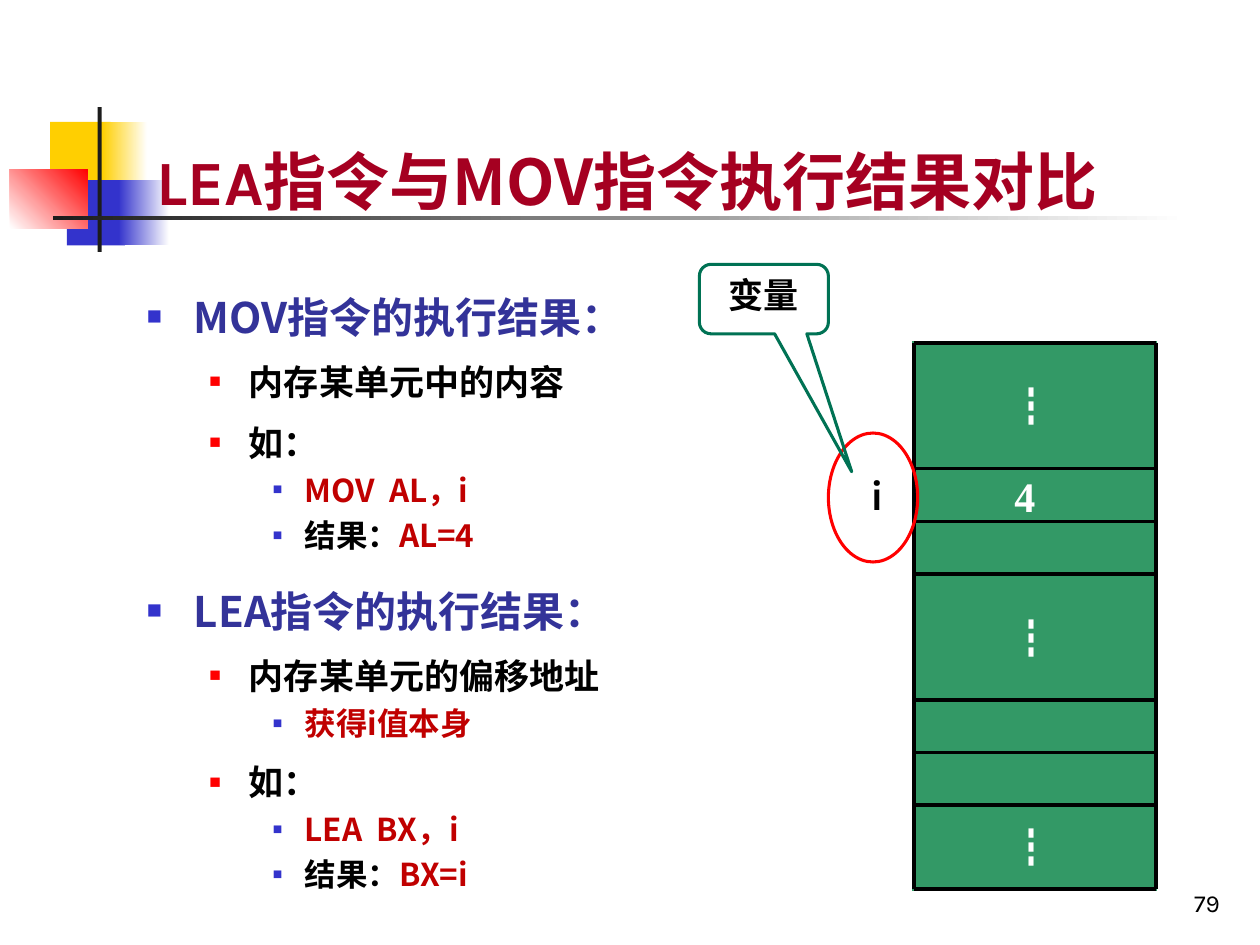
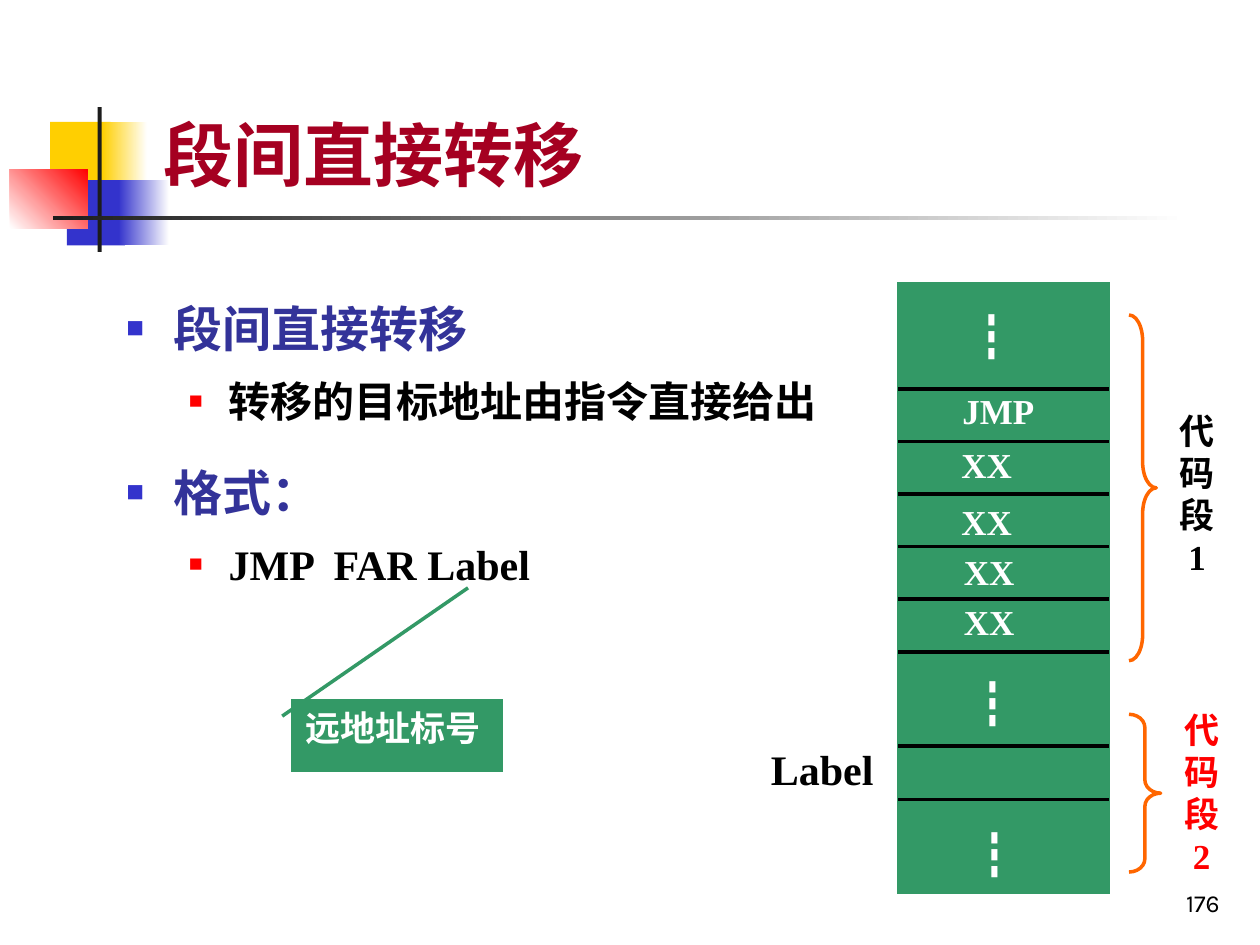
"""Build two slides on LEA, MOV and far jump instructions."""
from itertools import accumulate

from lxml.etree import SubElement
from pptx import Presentation
from pptx.dml.color import RGBColor
from pptx.enum.shapes import MSO_CONNECTOR as Connector, MSO_SHAPE as Shape
from pptx.enum.text import MSO_ANCHOR as Anchor, PP_ALIGN as Align
from pptx.oxml.ns import qn
from pptx.util import Cm, Pt

COLORS = {
    "title": "A50021", "heading": "333399", "code": "C00000",
    "black": "000000", "white": "FFFFFF", "ink": "1C1C1C",
    "yellow": "FFCF01", "blue": "3333CC", "red": "FF0000",
    "memory": "339966", "callout": "007254", "brace": "FF6600",
}
CJK, LATIN, SERIF = "Noto Sans CJK SC", "Karla", "Times New Roman"
BULLETS = [("blue", 60, 0.95, -0.95), ("red", 55, 2.06, -0.8), ("blue", 50, 3.18, -0.64)]


def write(frame, text, size=24, color="black", font=CJK, bold=True, align=Align.LEFT,
          anchor=Anchor.TOP, level=None, before=0, after=0, spacing=None):
    """Add a paragraph; text is a string or a list of (text, color, font) runs."""
    frame.word_wrap = True
    frame.vertical_anchor = anchor
    paragraph = frame.paragraphs[-1]
    if paragraph.runs:
        paragraph = frame.add_paragraph()
    if level is not None:
        bullet_color, percent, margin, indent = BULLETS[level]
        paragraph.level = level
        properties = paragraph._p.get_or_add_pPr()
        properties.set("marL", str(Cm(margin)))
        properties.set("indent", str(Cm(indent)))
        tint = SubElement(properties, qn("a:buClr"))
        SubElement(tint, qn("a:srgbClr")).set("val", COLORS[bullet_color])
        SubElement(properties, qn("a:buSzPct")).set("val", str(percent * 1000))
        SubElement(properties, qn("a:buFont")).set("typeface", SERIF)
        SubElement(properties, qn("a:buChar")).set("char", "■")
    paragraph.alignment = align
    paragraph.space_before, paragraph.space_after = Pt(before), Pt(after)
    if spacing:
        paragraph.line_spacing = spacing
    runs = [(text, color, font)] if isinstance(text, str) else text
    for words, run_color, run_font in runs:
        run = paragraph.add_run()
        run.text = words
        run.font.size, run.font.bold, run.font.name = Pt(size), bold, run_font
        run.font.color.rgb = RGBColor.from_string(COLORS[run_color])
        SubElement(run._r.get_or_add_rPr(), qn("a:ea")).set("typeface", CJK)


def draw(slide, kind, box, fill=None, line=None, width=2, adjust=(), fade=None, angle=0):
    """Add a preset shape with a plain, fading or empty fill."""
    shape = slide.shapes.add_shape(kind, *map(Cm, box))
    shape.shadow.inherit = False
    if fade:
        shape.fill.gradient()
        shape.fill.gradient_angle = angle
        for stop, name in zip(shape.fill.gradient_stops, fade):
            stop.color.rgb = RGBColor.from_string(COLORS[name])
    elif fill:
        shape.fill.solid()
        shape.fill.fore_color.rgb = RGBColor.from_string(COLORS[fill])
    else:
        shape.fill.background()
    if line:
        shape.line.color.rgb = RGBColor.from_string(COLORS[line])
        shape.line.width = Pt(width)
        if fill:
            SubElement(shape._element.spPr.find(qn("a:ln")), qn("a:miter")).set("lim", "800000")
    else:
        shape.line.fill.background()
    for index, value in enumerate(adjust):
        shape.adjustments[index] = value
    return shape


deck = Presentation()
deck.slide_width, deck.slide_height = Cm(25.4), Cm(19.05)
compare, jump = [deck.slides.add_slide(deck.slide_layouts[6]) for _ in range(2)]

ornament = [
    ((1.01, 2.46, 1.22, 1.32), {"fill": "yellow"}),
    ((2.06, 2.46, 0.91, 1.32), {"fade": ("yellow", "white")}),
    ((1.35, 3.63, 1.17, 1.32), {"fill": "blue"}),
    ((2.39, 3.63, 1.02, 1.32), {"fade": ("blue", "white")}),
    ((0.2, 3.41, 1.57, 1.19), {"fade": ("white", "red"), "angle": 45}),
    ((1.97, 2.16, 0.08, 2.92), {"fill": "ink"}),
    ((1.07, 4.36, 22.86, 0.08), {"fade": ("ink", "white")}),
]
titles = [
    (compare, [("LEA", "title", LATIN), ("指令与MOV指令执行结果对比", "title", CJK)],
     36, (2.9, 0.79, 21.64, 3.73), "79"),
    (jump, "段间直接转移", 40, (3.05, 0, 21.64, 4.06), "176"),
]
for slide, title, size, box, number in titles:
    for place, look in ornament:
        draw(slide, Shape.RECTANGLE, place, **look)
    heading = slide.shapes.add_textbox(*map(Cm, box)).text_frame
    write(heading, title, size=size, color="title", anchor=Anchor.BOTTOM)
    footer = slide.shapes.add_textbox(Cm(19.56), Cm(17.35), Cm(5.28), Cm(1.27)).text_frame
    write(footer, number, size=14, font=LATIN, bold=False,
          align=Align.RIGHT, anchor=Anchor.BOTTOM)

results = [
    (0, "MOV指令的执行结果：", 0),
    (1, "内存某单元中的内容", 6),
    (1, "如：", 6),
    (2, "MOV  AL，i", 0),
    (2, [("结果：", "black", CJK), ("AL=4", "code", CJK)], 0),
    (0, "LEA指令的执行结果：", 12),
    (1, "内存某单元的偏移地址", 6),
    (2, "获得i值本身", 0),
    (1, "如：", 6),
    (2, "LEA  BX，i", 0),
    (2, [("结果：", "black", CJK), ("BX=i", "code", CJK)], 0),
]
outline = compare.shapes.add_textbox(Cm(2.71), Cm(5.54), Cm(13.79), Cm(13)).text_frame
for level, text, before in results:
    write(outline, text, size=(24, 20, 18)[level], color=("heading", "black", "code")[level],
          level=level, before=before, spacing=1.2)

far_jump = [
    (0, "段间直接转移", CJK, 0, 6),
    (1, "转移的目标地址由指令直接给出", CJK, 0, 9.6),
    (0, "格式：", SERIF, 6, 6),
    (1, "JMP  FAR Label", SERIF, 0, 6),
]
outline = jump.shapes.add_textbox(Cm(2.3), Cm(5.72), Cm(15.39), Cm(12.01)).text_frame
for level, text, font, before, after in far_jump:
    write(outline, text, size=(28, 24)[level], color=("heading", "black")[level], font=font,
          level=level, before=before, after=after, spacing=1.15)

far_label = draw(jump, Shape.LINE_CALLOUT_1, (5.9, 14.12, 4.2, 1.4), fill="memory",
                 line="memory", adjust=(0.227, -0.05, -1.621, 0.842))
write(far_label.text_frame, "远地址标号", size=20, color="white", font=SERIF)

ROW = 1.06
memories = [
    (compare, 18.43, 6.91, 4.87, [2.54, ROW, ROW, 2.54, ROW, ROW, 1.69], True),
    (jump, 18.11, 5.72, 4.24, [2.12] + [ROW] * 5 + [1.9, 1.08, 1.86], False),
]
for slide, left, top, width, rows, framed in memories:
    right, bottom = left + width, top + sum(rows)
    draw(slide, Shape.RECTANGLE, (left, top, width, sum(rows)), fill="memory", line="memory")
    levels = list(accumulate(rows, initial=top))
    rules = [(left, y, right, y) for y in (levels if framed else levels[1:-1])]
    if framed:
        rules += [(x, top, x, bottom) for x in (left, right)]
    for ends in rules:
        rule = slide.shapes.add_connector(Connector.STRAIGHT, *map(Cm, ends))
        rule.line.color.rgb = RGBColor.from_string(COLORS["black"])
        rule.line.width = Pt(2)
        SubElement(rule._element.spPr, qn("a:effectLst"))

cell = {"size": 20, "color": "white", "font": SERIF}
dots = {"color": "white"}
segment = {"size": 20, "align": Align.CENTER, "font": SERIF}
labels = [(compare, "┇", (20.12, y, 1.7, 1.27), dots) for y in (7.54, 12.22, 16.43)]
labels += [(jump, "┇", (x, y, 1.47, 1.27), {**dots, "size": 29})
           for x, y in ((19.24, 6.03), (19.26, 13.44), (19.3, 16.49))]
labels += [(jump, "XX", (x, y, 2.97, 1.09), cell)
           for x, y in ((19.13, 8.81), (19.13, 9.96), (19.18, 10.97), (19.18, 11.99))]
labels += [
    (compare, "4", (20.2, 9.36, 1.7, 1.27), {"color": "white", "font": SERIF}),
    (compare, "i", (17.3, 9.32, 0.99, 1.3), {"font": LATIN}),
    (jump, "JMP", (19.15, 7.72, 2.97, 1.09), cell),
    (jump, "Label", (15.29, 14.86, 2.9, 1.27), {"font": SERIF}),
    (jump, "代码段1", (23.5, 8.13, 1.27, 3.63), segment),
    (jump, "代码段2", (23.5, 14.15, 1.45, 3.63), {**segment, "color": "red"}),
]
for slide, text, box, look in labels:
    write(slide.shapes.add_textbox(*map(Cm, box)).text_frame, text, **look)

draw(compare, Shape.OVAL, (16.7, 8.73, 1.8, 2.6), line="red", width=1.75)
variable = draw(compare, Shape.ROUNDED_RECTANGULAR_CALLOUT, (14.1, 5.33, 2.6, 1.4),
                line="callout", width=1.75, adjust=(0.681, 2.486, 0.167))
write(variable.text_frame, "变量", size=20, align=Align.CENTER)

for box, curl in (((22.76, 6.35, 0.55, 6.97), 0.943), ((22.76, 14.4, 0.64, 3.18), 0.417)):
    draw(jump, Shape.RIGHT_BRACE, box, line="brace", adjust=(curl, 0.5))

deck.save("out.pptx")
